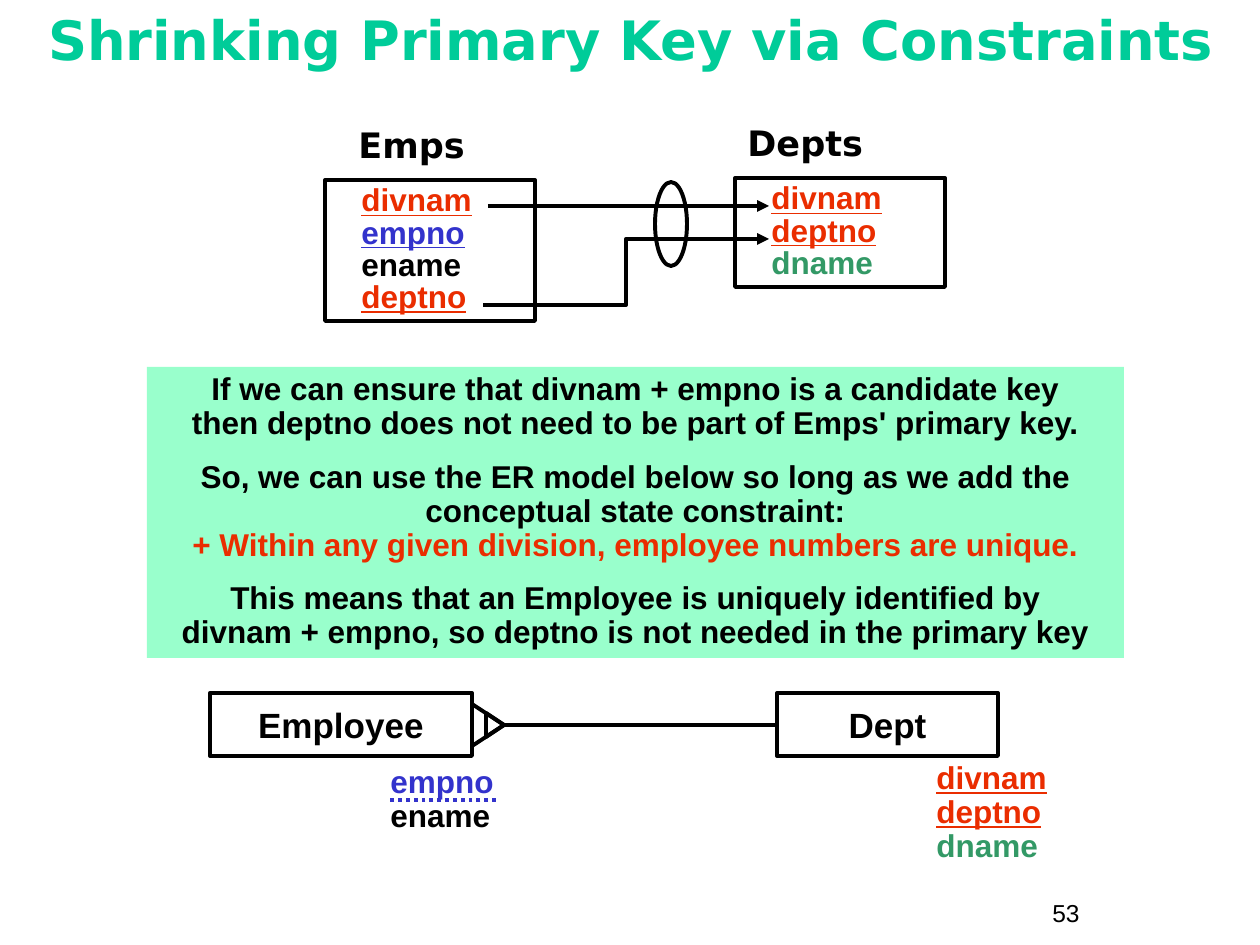
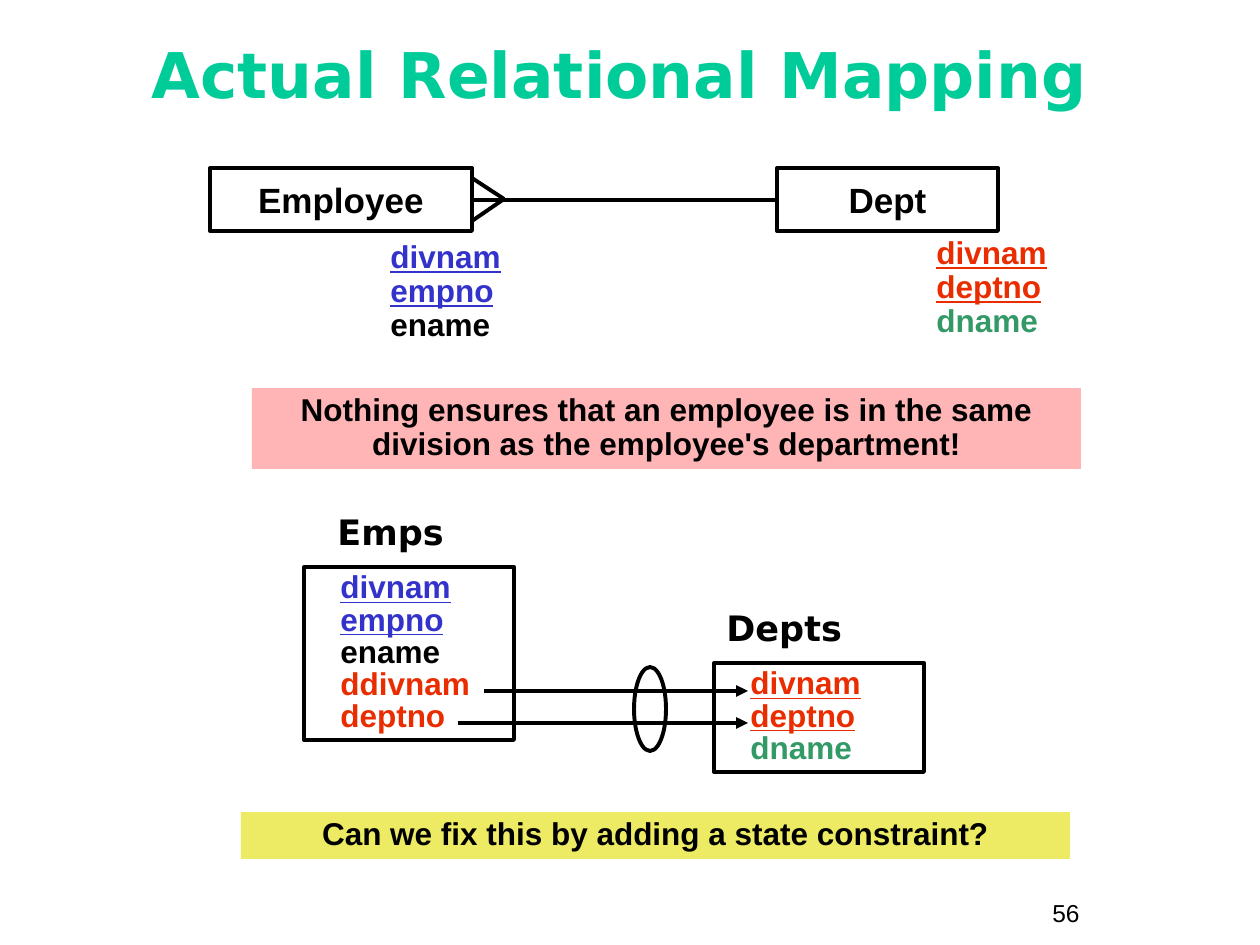
from pptx import Presentation
from pptx.dml.color import RGBColor
from pptx.enum import dml, shapes, text
from pptx.oxml import parse_xml
from pptx.oxml.ns import nsdecls
from pptx.util import Emu, Inches, Pt

PIXEL = 914400 / 126
COLOURS = {
    "title": "00CC99", "ink": "000000", "red": "EA2D00", "blue": "3333CC",
    "green": "339966", "mint": "99FFCC", "pink": "FFB5B5", "yellow": "EDEA63",
}
SANS, HEADING = "Arial", "DejaVu Sans"
LINE_WIDTH = Pt(2.25)
ROW = 32           # one attribute line in a relation box
ENTITY_HEIGHT = 63

# Text looks: font values, paragraph values and left margin in pixels
PAGE_NUMBER = {"font": {"name": SANS, "size": Pt(14)}}
TITLE = {"font": {"name": HEADING, "bold": True},
         "para": {"alignment": text.PP_ALIGN.CENTER, "line_spacing": 0.85}}
LABEL = {"font": {"name": HEADING, "size": Pt(20), "bold": True}}
ENTITY = {"font": {"name": SANS, "size": Pt(20), "bold": True},
          "para": {"alignment": text.PP_ALIGN.CENTER}}
BODY = {"name": SANS, "size": Pt(18), "bold": True}
ATTRIBUTES = {"font": BODY, "para": {"line_spacing": 0.9}}
COLUMNS = {"font": BODY, "para": {"line_spacing": 0.85}, "margin": 24}
NOTE = {"font": BODY, "para": {"alignment": text.PP_ALIGN.CENTER,
                               "line_spacing": 0.9, "space_before": Pt(11.2)}}

# Each attribute: name, colour, underlined
DIVNAM_RED = ("divnam", "red", True)
DIVNAM_BLUE = ("divnam", "blue", True)
EMPNO = ("empno", "blue", True)
ENAME = ("ename", "ink", False)
DEPTNO = ("deptno", "red", True)
DEPT_KEY_FIELDS = [DIVNAM_RED, DEPTNO, ("dname", "green", False)]


def px(pixels):
    """Turn pixels into EMU."""
    return Emu(round(pixels * PIXEL))


def colour(name):
    """Look up a named colour."""
    return RGBColor.from_string(COLOURS[name])


def assign(target, values):
    """Set every attribute in a dict of values."""
    for name, value in values.items():
        setattr(target, name, value)


def write(frame, paragraphs, look, size=None):
    """Write paragraphs, each a list of (words, colour, underlined) lines."""
    assign(frame, {"margin_left": Inches(0.1), "margin_right": Inches(0.1),
                   "margin_top": Inches(0.05), "margin_bottom": Inches(0.05)})
    for index, lines in enumerate(paragraphs):
        para = frame.add_paragraph() if index else frame.paragraphs[0]
        assign(para, {"alignment": text.PP_ALIGN.LEFT, **look.get("para", {})})
        if "margin" in look:
            properties = para._p.get_or_add_pPr()
            properties.set("marL", str(px(look["margin"])))
            properties.set("indent", "0")
        for number, (words, shade, underlined) in enumerate(lines):
            if number:
                para.add_line_break()
            span = para.add_run()
            span.text = words
            assign(span.font, look["font"])
            if size:
                span.font.size = Pt(size)
            if underlined:
                span.font.underline = True
            span.font.color.rgb = colour(shade)


def add_text(page, at, paragraphs, look, size=None,
             anchor=text.MSO_ANCHOR.TOP):
    """Add a wrapping text box."""
    frame = page.shapes.add_textbox(*map(px, at)).text_frame
    assign(frame, {"word_wrap": True, "vertical_anchor": anchor})
    write(frame, paragraphs, look, size)


def add_outline(page, kind, at, fill=None):
    """Add a filled shape without line, or a black outline without fill."""
    shape = page.shapes.add_shape(kind, *map(px, at))
    shape.shadow.inherit = False
    if fill:
        shape.fill.solid()
        shape.fill.fore_color.rgb = colour(fill)
        shape.line.fill.background()
    else:
        shape.fill.background()
        shape.line.color.rgb = colour("ink")
        shape.line.width = LINE_WIDTH
    return shape


def add_line(page, start, end, shade="ink", arrow=False, dash=None,
             kind=shapes.MSO_CONNECTOR.STRAIGHT):
    """Add a connector, with an arrowhead at its end if wanted."""
    line = page.shapes.add_connector(kind, *map(px, start + end))
    line.line.color.rgb = colour(shade)
    line.line.width = LINE_WIDTH
    if dash:
        line.line.dash_style = dash
    if arrow:
        line.line._get_or_add_ln().append(
            parse_xml(f'<a:tailEnd {nsdecls("a")} type="triangle"/>'))
    line._element.spPr.append(parse_xml(f'<a:effectLst {nsdecls("a")}/>'))


def add_note(page, at, paragraphs, fill):
    """Add a coloured band with centred text."""
    box = add_outline(page, shapes.MSO_SHAPE.RECTANGLE, at, fill)
    box.text_frame.word_wrap = True
    box.text_frame.vertical_anchor = text.MSO_ANCHOR.TOP
    write(box.text_frame, paragraphs, NOTE)


def add_relation(page, left, top, name, fields, label_shift=0):
    """Add a relation: its name above a box of column names."""
    add_text(page, (left + label_shift, top - 63, 210 - label_shift, 55),
             [[(name, "ink", False)]], LABEL)
    box = add_outline(page, shapes.MSO_SHAPE.RECTANGLE,
                      (left, top, 210, 13 + ROW * len(fields)))
    box.text_frame.word_wrap = True
    box.text_frame.vertical_anchor = text.MSO_ANCHOR.TOP
    write(box.text_frame, [[field] for field in fields], COLUMNS)


def add_entity(page, left, top, width, name):
    """Add an entity box with its name in the middle."""
    box = add_outline(page, shapes.MSO_SHAPE.RECTANGLE,
                      (left, top, width, ENTITY_HEIGHT))
    assign(box.text_frame, {"word_wrap": False,
                            "vertical_anchor": text.MSO_ANCHOR.MIDDLE})
    write(box.text_frame, [[(name, "ink", False)]], ENTITY)


def add_er_model(page, top, employee_fields, link_start):
    """Add the Employee and Dept entities, their attributes and the link."""
    add_entity(page, 777, top, 221, "Dept")
    add_entity(page, 210, top, 262, "Employee")
    add_line(page, (775, top + 32), (link_start, top + 32))
    for left, offset, width, fields in (
            (924, 63, 179, DEPT_KEY_FIELDS), (378, 67, 210, employee_fields)):
        add_text(page, (left, top + offset, width, 13 + 34 * len(fields)),
                 [[field] for field in fields], ATTRIBUTES)


def add_page(deck, title, top, size, anchor, number):
    """Add a blank page with its title and page number."""
    page = deck.slides.add_slide(deck.slide_layouts[6])
    add_text(page, (1040, 892, 116, 43), [[(number, "ink", False)]],
             PAGE_NUMBER)
    add_text(page, (32, top, 1197, 116), [[(title, "title", False)]],
             TITLE, size, anchor)
    return page


def build_shrinking_page(deck):
    """Build the page on shrinking the primary key."""
    page = add_page(deck, "Shrinking Primary Key via Constraints", 10, 31,
                    text.MSO_ANCHOR.TOP, "53")
    add_note(page, (147, 367, 977, 291), [
        [("If we can ensure that divnam + empno is a candidate key",
          "ink", False),
         ("then deptno does not need to be part of Emps' primary key.",
          "ink", False)],
        [("So, we can use the ER model below so long as we add the "
          "conceptual state constraint:", "ink", False),
         ("+ Within any given division, employee numbers are unique.",
          "red", False)],
        [("This means that an Employee is uniquely identified by",
          "ink", False),
         ("divnam + empno, so deptno is not needed in the primary key",
          "ink", False)],
    ], "mint")
    add_relation(page, 735, 178, "Depts", DEPT_KEY_FIELDS)
    add_relation(page, 325, 180, "Emps", [DIVNAM_RED, EMPNO, ENAME, DEPTNO],
                 label_shift=21)
    add_line(page, (488, 206), (769, 206), arrow=True)
    add_line(page, (483, 305), (769, 239), arrow=True,
             kind=shapes.MSO_CONNECTOR.ELBOW)
    add_outline(page, shapes.MSO_SHAPE.OVAL, (655, 182, 32, 84))

    add_er_model(page, 693, [("empno", "blue", False), ENAME], 504)
    add_line(page, (496, 800), (388, 800), "blue",
             dash=dml.MSO_LINE.ROUND_DOT)
    for at in ((467, 709, 42, 32), (483, 716, 24, 18)):
        foot = add_outline(page, shapes.MSO_SHAPE.ISOSCELES_TRIANGLE, at)
        foot.rotation = 90


def build_mapping_page(deck):
    """Build the page on the actual relational mapping."""
    # The closing space takes part in the centring of the title.
    page = add_page(deck, "Actual Relational Mapping ", 21, 36,
                    text.MSO_ANCHOR.MIDDLE, "56")
    add_er_model(page, 168, [DIVNAM_BLUE, EMPNO, ENAME], 474)
    for toe in (178, 221):
        add_line(page, (504, 199), (472, toe))

    add_relation(page, 714, 663, "Depts", DEPT_KEY_FIELDS)
    add_relation(page, 304, 567, "Emps",
                 [DIVNAM_BLUE, EMPNO, ENAME, ("ddivnam", "red", False),
                  ("deptno", "red", False)], label_shift=21)
    for start, level in ((484, 691), (458, 691 + ROW)):
        add_line(page, (start, level), (748, level), arrow=True)
    add_outline(page, shapes.MSO_SHAPE.OVAL, (634, 667, 32, 84))

    add_note(page, (252, 388, 829, 81),
             [[("Nothing ensures that an employee is in the same division "
                "as the employee's department!", "ink", False)]], "pink")
    add_note(page, (241, 812, 829, 47),
             [[("Can we fix this by adding a state constraint?",
                "ink", False)]], "yellow")


def main():
    """Build and save the deck."""
    deck = Presentation()
    deck.slide_width, deck.slide_height = px(1260), px(945)
    build_shrinking_page(deck)
    build_mapping_page(deck)
    deck.save("out.pptx")


main()
